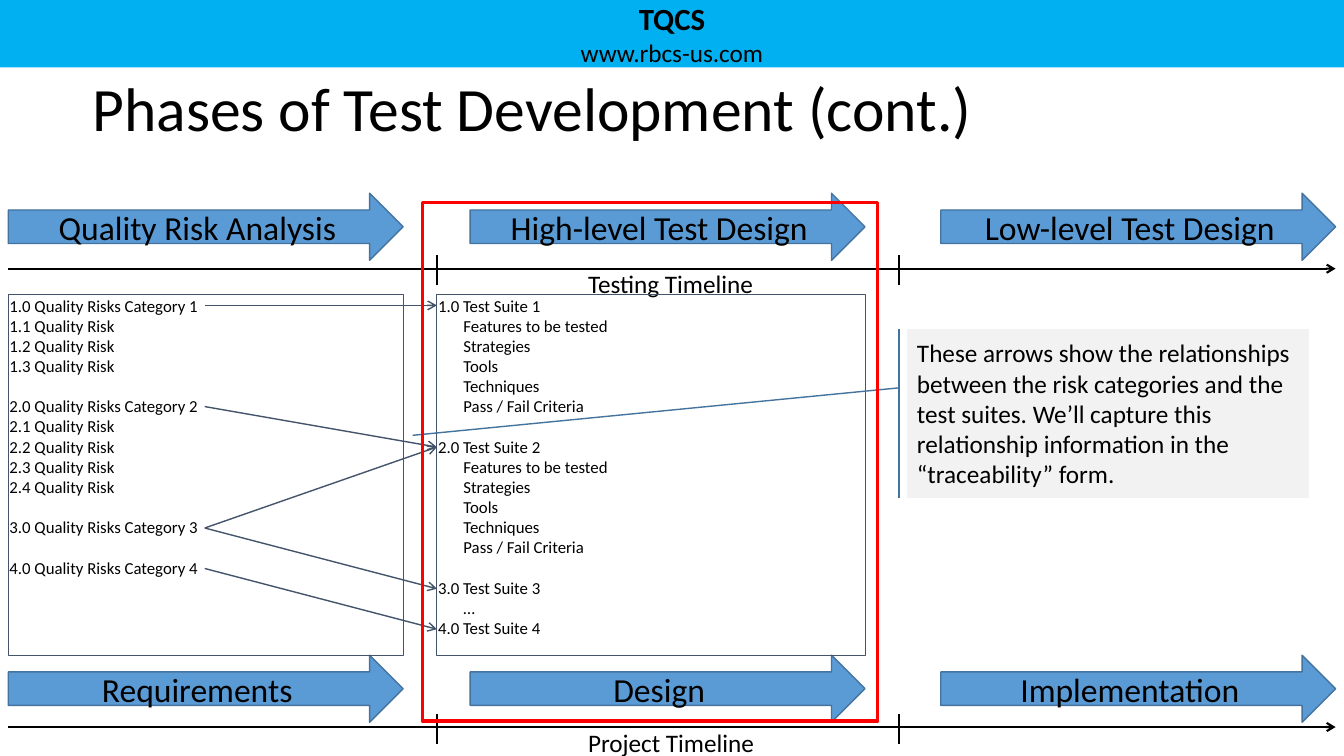
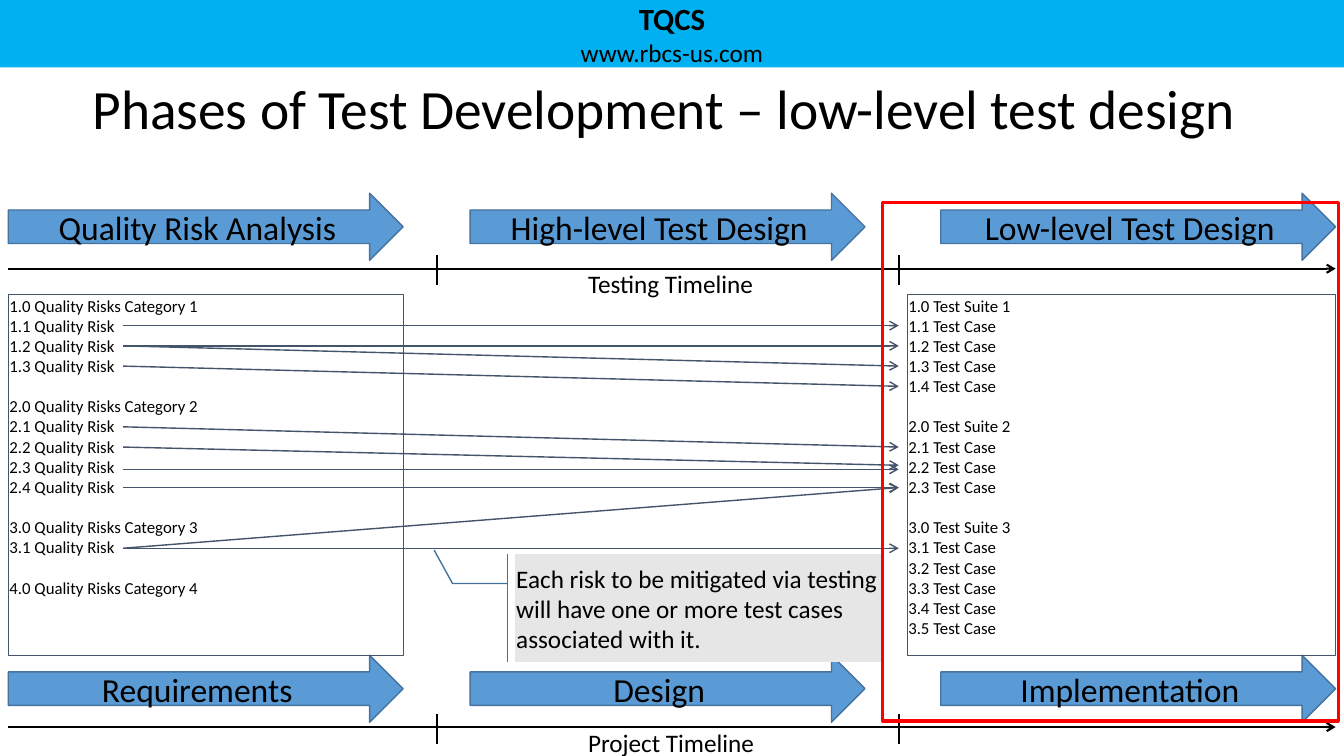
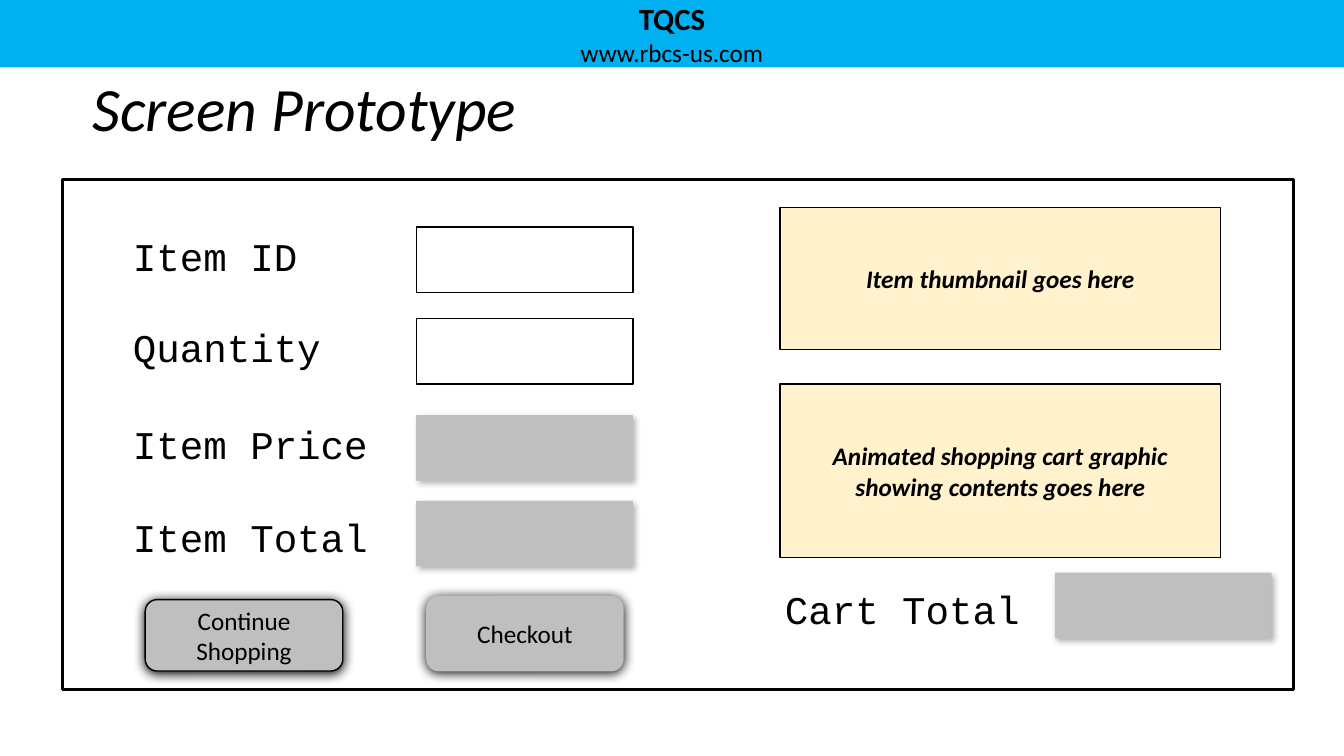
from lxml import etree
from pptx import Presentation
from pptx import util as u
from pptx.dml.color import RGBColor
from pptx.enum import shapes, text
from pptx.oxml import ns

KIND = shapes.MSO_SHAPE
MID, TOP = text.MSO_ANCHOR.MIDDLE, text.MSO_ANCHOR.TOP
LEFT, MIDST = text.PP_ALIGN.LEFT, text.PP_ALIGN.CENTER

# Shared colours
INK, BAND, BLUE, EDGE = "000000", "00B0F0", "5B9BD5", "43739E"
SLATE, RED, GREY, CREAM = "44546A", "FF0000", "BFBFBF", "FFF2CC"

# Shared measures, in cm
WIDE, HIGH = 33.87, 19.05
COLS = (0.21, 11.85, 23.71)
TICKS = (11.01, 22.65)
LIST_TOP, LIST_HIGH, PAD, ROW = 7.41, 9.1, 0.03, 0.51
GAP = 14.4  # points between groups of a list

# Shadows: opacity %, blur pt, distance pt, angle
SOFT, GLOW = (30, 4.5, 2.6, 53), (100, 8.5, 1, 90)


def hue(code):
    return RGBColor.from_string(code)


def put(part, fmt):
    for key, val in fmt.items():
        setattr(part, key, val)


def place(part, box):
    keys = ("left", "top", "width", "height")
    put(part, {key: u.Cm(val) for key, val in zip(keys, box)})


def node(home, tag, **attrs):
    made = etree.SubElement(home, ns.qn(tag))
    for key, val in attrs.items():
        made.set(key, str(val))
    return made


def frame(part, pads=(0.25, 0.13, 0.25, 0.13), anchor=MID, wrap=True):
    keys = ("margin_left", "margin_top", "margin_right", "margin_bottom")
    body = part.text_frame
    put(body, {key: u.Cm(val) for key, val in zip(keys, pads)})
    put(body, {"word_wrap": wrap, "vertical_anchor": anchor,
               "auto_size": text.MSO_AUTO_SIZE.NONE})
    return body


def write(para, words, size, align=LEFT, face="Calibri", **fmt):
    para.alignment = align
    run = para.add_run()
    run.text = words
    put(run.font, {"name": face, "size": u.Pt(size), **fmt})
    run.font.color.rgb = hue(INK)


def cast(part, shadow):
    alpha, blur, dist, angle = shadow
    effects = part.element.spPr.find(ns.qn("a:effectLst"))
    outer = node(effects, "a:outerShdw", blurRad=u.Pt(blur), dist=u.Pt(dist),
                 dir=angle * 60000, algn="t", rotWithShape=0)
    tint = node(outer, "a:srgbClr", val=INK)
    node(tint, "a:alpha", val=alpha * 1000)


def shape(slide, box, kind=KIND.RECTANGLE, fill=None, line=None, width=1,
          shadow=None):
    part = slide.shapes.add_shape(kind, *(u.Cm(val) for val in box))
    part.shadow.inherit = False
    if fill:
        part.fill.solid()
        part.fill.fore_color.rgb = hue(fill)
    else:
        part.fill.background()
    if line:
        part.line.color.rgb = hue(line)
        part.line.width = u.Pt(width)
    else:
        part.line.fill.background()
    if shadow:
        cast(part, shadow)
    return part


def label(slide, box, words, size, pads=(0.25, 0.13, 0.25, 0.13), wrap=True,
          face="Calibri"):
    part = slide.shapes.add_textbox(*(u.Cm(val) for val in box))
    write(frame(part, pads, TOP, wrap).paragraphs[0], words, size, face=face)


def rule(slide, start, end, tone=INK, width=1.5, arrow=False):
    ends = [u.Cm(val) for val in (*start, *end)]
    part = slide.shapes.add_connector(shapes.MSO_CONNECTOR.STRAIGHT, *ends)
    part.line.color.rgb = hue(tone)
    part.line.width = u.Pt(width)
    props = part.element.spPr
    if arrow:
        node(props.find(ns.qn("a:ln")), "a:tailEnd", type="arrow")
    node(props, "a:effectLst")


# Blue band, built once and kept on the layout
def band(slide, layout):
    part = shape(slide, (0, 0, WIDE, 1.7), fill=BAND)
    body = frame(part, (0.25, 0, 0.25, 0), TOP)
    write(body.paragraphs[0], "TQCS", 22, MIDST, bold=True)
    write(body.add_paragraph(), "www.rbcs-us.com", 18, MIDST)
    part.element.nvSpPr.cNvPr.set("id", "90")
    layout.shapes.element.append(part.element)


def head(slide, words, size=44, **fmt):
    part = slide.shapes.title
    place(part, (2.33, 1.48, 29.21, 2.54))
    para = frame(part, (0, 0.13, 0, 0)).paragraphs[0]
    para.line_spacing = 0.9
    write(para, words, size, **fmt)


# Three block arrows above a time axis
def phase(slide, top, drop, names, title):
    for left, name in zip(COLS, names):
        part = shape(slide, (left, top, 9.95, 1.69), KIND.RIGHT_ARROW,
                     BLUE, EDGE)
        write(frame(part, (0, 0, 0, 0)).paragraphs[0], name, 24, MIDST)
    axis = top + drop
    rule(slide, (COLS[0], axis), (33.66, axis), arrow=True)
    for tick in TICKS:
        rule(slide, (tick, axis + 0.42), (tick, axis - 0.34))
    label(slide, (14.82, axis, 4.22, 0.76), title, 18, (0, 0, 0, 0), False)


# Boxed list; a leading tab marks an indented line
def listing(slide, left, width, groups):
    part = shape(slide, (left, LIST_TOP, width, LIST_HIGH), line=SLATE,
                 width=0.75)
    body = frame(part, (PAD,) * 4, TOP)
    for at, group in enumerate(groups):
        for num, line in enumerate(group):
            first = at == num == 0
            para = body.paragraphs[0] if first else body.add_paragraph()
            if line.startswith("\t"):
                para._p.get_or_add_pPr().set("marL", str(u.Cm(0.64)))
            if at and not num:
                para.space_before = u.Pt(GAP)
            write(para, line.strip(), 12)


# Arrows between list rows, counted from 0
def links(slide, left, right, pairs):
    def mid(row):
        return LIST_TOP + PAD + (row + 0.5) * ROW

    for start, end in pairs:
        rule(slide, (left, mid(start)), (right, mid(end)), SLATE, 1, True)


def note(slide, box, kind, fill, bends, words, pads):
    part = shape(slide, box, kind, fill, EDGE)
    for at, val in enumerate(bends):
        part.adjustments[at] = val
    write(frame(part, pads).paragraphs[0], words, 18)


# Content shared by both phase slides
def flow(slide, risks):
    phase(slide, 4.87, 1.9, ("Quality Risk Analysis", "High-level Test Design",
                             "Low-level Test Design"), "Testing Timeline")
    phase(slide, 16.51, 1.81, ("Requirements", "Design", "Implementation"),
          "Project Timeline")
    groups = [[f"{at}.0 Quality Risks Category {at}"]
              + [f"{at}.{num} Quality Risk" for num in range(1, count + 1)]
              for at, count in enumerate(risks, 1)]
    listing(slide, COLS[0], 9.95, groups)


def focus(slide, left):
    shape(slide, (left, 5.11, 11.48, 13.06), line=RED, width=2.25)


def upper(slide):
    head(slide, "Phases of Test Development (cont.)")
    flow(slide, (3, 4, 0, 0))
    parts = ["\tFeatures to be tested", "\tStrategies", "\tTools",
             "\tTechniques", "\tPass / Fail Criteria"]
    listing(slide, TICKS[0], 10.8, [
        ["1.0 Test Suite 1", *parts], ["2.0 Test Suite 2", *parts],
        ["3.0 Test Suite 3", "\t…", "4.0 Test Suite 4"]])
    links(slide, 5.16, TICKS[0],
          [(0, 0), (5, 7), (11, 14), (11, 7), (13, 16)])
    note(slide, (22.86, 8.28, 10.13, 4.27), KIND.LINE_CALLOUT_1_ACCENT_BAR,
         "F2F2F2", (0.35, -0.02, 0.63, -1.23),
         "These arrows show the relationships between the risk categories and "
         "the test suites. We’ll capture this relationship information in the "
         "“traceability” form.", (0.25, 0.13, 0.25, 0.13))
    focus(slide, 10.64)


def lower(slide):
    head(slide, "Phases of Test Development – low-level test design", 39.6)
    flow(slide, (3, 4, 1, 0))
    listing(slide, 22.86, 10.8, [
        [f"{at}.0 Test Suite {at}"]
        + [f"{at}.{num} Test Case" for num in range(1, count + 1)]
        for at, count in enumerate((4, 3, 5), 1)])
    links(slide, 3.1, TICKS[1],
          [(1, 1), (2, 2), (2, 3), (3, 4), (6, 7), (12, 9), (12, 12),
           (7, 7.9), (8.1, 8.1), (9, 9)])
    note(slide, (12.98, 13.97, 9.27, 2.72), KIND.LINE_CALLOUT_2_ACCENT_BAR,
         "E7E6E6", (0.27, -0.02, 0.27, -0.17, -0.04, -0.22),
         "Each risk to be mitigated via testing will have one or more test "
         "cases associated with it.", (PAD,) * 4)
    focus(slide, 22.25)


# Mock order form, placed inside its frame
def form(slide, box):
    left, top = box[:2]
    shape(slide, box, line=INK, width=2.25)

    def inner(dx, dy, wide, high):
        return left + dx, top + dy, wide, high

    def caption(dx, dy, words):
        label(slide, inner(dx, dy, 6.45, 1.45), words, 28, face="Courier New")

    def field(dx, dy, shown):
        look = {"fill": GREY, "shadow": SOFT} if shown else {"line": INK}
        shape(slide, inner(dx, dy, 5.46, 1.65), **look)

    for dy, high, words in (
            (0.71, 3.58, "Item thumbnail goes here"),
            (5.16, 4.37,
             "Animated shopping cart graphic showing contents goes here")):
        part = shape(slide, inner(18.09, dy, 11.1, high), fill=CREAM, line=INK)
        write(frame(part).paragraphs[0], words, 18, MIDST, bold=True,
              italic=True)

    for dy, shift, words, shown in (
            (1.2, 0, "Item ID", False), (3.51, 0, "Quantity", False),
            (5.94, 0, "Item Price", True), (8.1, 0.18, "Item Total", True)):
        field(8.92, dy, shown)
        caption(1.53, dy + shift, words)
    caption(17.96, 10.11, "Cart Total")
    field(25.02, 9.91, True)

    for dx, dy, high, edge, words in (
            (2.09, 10.59, 1.8, INK, "Continue Shopping"),
            (9.17, 10.49, 1.91, None, "Checkout")):
        part = shape(slide, inner(dx, dy, 4.98, high), KIND.ROUNDED_RECTANGLE,
                     GREY, edge, shadow=GLOW)
        write(frame(part).paragraphs[0], words, 18, MIDST)


def screen(slide):
    head(slide, "Screen Prototype", italic=True)
    form(slide, (1.57, 4.52, 31.04, 12.85))


def main():
    deck = Presentation()
    put(deck, {"slide_width": u.Cm(WIDE), "slide_height": u.Cm(HIGH)})
    layout = deck.slide_layouts[5]
    for at, build in enumerate((upper, lower, screen)):
        slide = deck.slides.add_slide(layout)
        if not at:
            band(slide, layout)
        build(slide)
    deck.save("out.pptx")


if __name__ == "__main__":
    main()
